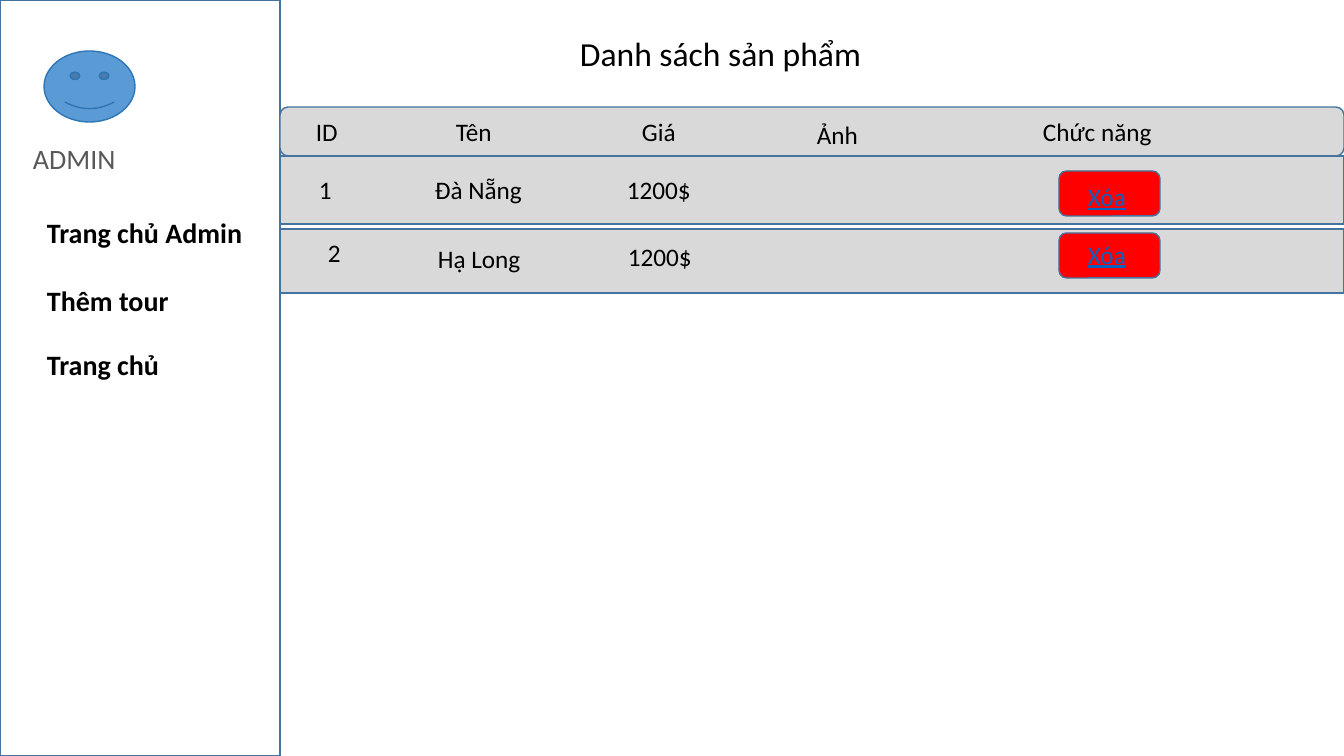
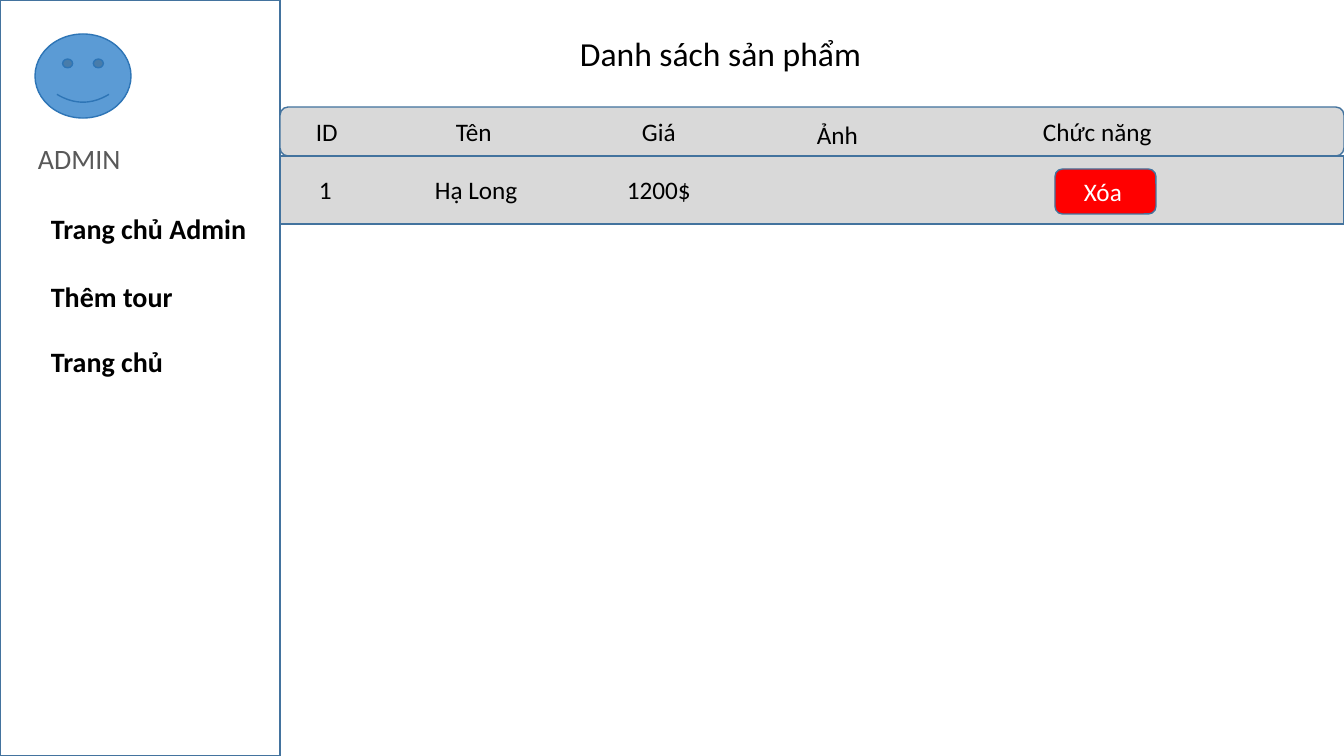
from dataclasses import dataclass
from typing import NamedTuple

from pptx import Presentation
from pptx.dml.color import RGBColor
from pptx.enum.shapes import MSO_SHAPE
from pptx.enum.text import MSO_ANCHOR, MSO_AUTO_SIZE, PP_ALIGN
from pptx.slide import Slide
from pptx.util import Emu, Pt

EMU_PER_PX = 914400 / 100.8


def px(length: int) -> Emu:
    return Emu(round(length * EMU_PER_PX))


@dataclass(frozen=True)
class Theme:
    font: str = "Calibri"
    title_size: int = 24
    menu_size: int = 20
    cell_size: int = 18
    ink: str = "000000"
    muted: str = "595959"
    paper: str = "FFFFFF"
    band: str = "D9D9D9"
    outline: str = "43739E"
    delete: str = "FF0000"
    link: str = "0563C1"
    avatar: str = "5B9BD5"
    avatar_line: str = "2E75B6"


THEME = Theme()


class Box(NamedTuple):
    left: int
    top: int
    width: int
    height: int


class Cell(NamedTuple):
    text: str
    left: int
    top: int
    width: int


@dataclass(frozen=True)
class TourRow:
    band: Box
    cells: tuple[Cell, ...]
    button: Box
    button_label: Cell


@dataclass(frozen=True)
class AdminPage:
    avatar: Box
    admin: Box
    menu: Box
    home: Box
    rows: tuple[TourRow, ...]
    button_format: dict


# Shared geometry
PAGE_WIDTH, PAGE_HEIGHT = 1344, 756
SIDEBAR = Box(0, 0, 280, PAGE_HEIGHT)
TABLE_LEFT = SIDEBAR.width
TABLE_WIDTH = PAGE_WIDTH - TABLE_LEFT
TITLE = Box(570, 28, 347, 50)
HEADER = Box(TABLE_LEFT, 107, TABLE_WIDTH, 49)
FIRST_ROW = Box(TABLE_LEFT, 156, TABLE_WIDTH, 68)
SECOND_ROW = Box(TABLE_LEFT, 229, TABLE_WIDTH, 64)
CELL_HEIGHT = 40
BUTTON_WIDTH, BUTTON_HEIGHT = 101, 45

COLUMNS = (
    Cell("ID", 306, 111, 45),
    Cell("Tên", 446, 111, 65),
    Cell("Giá", 632, 111, 59),
    Cell("Ảnh", 807, 114, 66),
    Cell("Chức năng", 1033, 111, 146),
)

# Text formats
TITLE_FORMAT = {"size": Pt(THEME.title_size)}
ADMIN_FORMAT = {"size": Pt(THEME.menu_size)}
MENU_FORMAT = {"size": Pt(THEME.menu_size), "bold": True}
CELL_FORMAT = {"size": Pt(THEME.cell_size)}
LINK_FORMAT = CELL_FORMAT | {"underline": True}


def tour_row(band: Box, cells: tuple[Cell, ...], button_left: int,
             button_top: int, label_top: int) -> TourRow:
    return TourRow(
        band, cells,
        Box(button_left, button_top, BUTTON_WIDTH, BUTTON_HEIGHT),
        Cell("Xóa", button_left + 19, label_top, 66),
    )


PAGES = (
    AdminPage(
        avatar=Box(44, 51, 91, 71),
        admin=Box(23, 137, 112, 44),
        menu=Box(37, 211, 228, 89),
        home=Box(37, 343, 218, 55),
        rows=(
            tour_row(FIRST_ROW, (
                Cell("1", 309, 169, 34),
                Cell("Đà Nẵng", 425, 169, 121),
                Cell("1200$", 617, 169, 91),
            ), 1059, 171, 176),
            tour_row(SECOND_ROW, (
                Cell("2", 318, 232, 34),
                Cell("Hạ Long", 428, 238, 117),
                Cell("1200$", 618, 236, 91),
            ), 1059, 233, 234),
        ),
        button_format={"color": THEME.link, "style": LINK_FORMAT},
    ),
    AdminPage(
        avatar=Box(35, 34, 96, 84),
        admin=Box(28, 137, 139, 44),
        menu=Box(41, 207, 239, 98),
        home=Box(41, 340, 218, 55),
        rows=(
            tour_row(FIRST_ROW, (
                Cell("1", 309, 169, 34),
                Cell("Hạ Long", 425, 169, 117),
                Cell("1200$", 617, 169, 91),
            ), 1055, 169, 171),
        ),
        button_format={"color": THEME.paper, "style": CELL_FORMAT},
    ),
)


def add_panel(slide: Slide, kind: MSO_SHAPE, box: Box, fill: str,
              line: str = THEME.outline) -> None:
    panel = slide.shapes.add_shape(kind, *map(px, box))
    panel.shadow.inherit = False
    panel.fill.solid()
    panel.fill.fore_color.rgb = RGBColor.from_string(fill)
    panel.line.color.rgb = RGBColor.from_string(line)
    panel.line.width = Pt(1)


def add_text(slide: Slide, box: Box, *lines: str, style: dict,
             color: str = THEME.ink, wrap: bool = True, grow: bool = True,
             gap: int = 0) -> None:
    frame = slide.shapes.add_textbox(*map(px, box)).text_frame
    frame_format = {
        "word_wrap": wrap,
        "vertical_anchor": MSO_ANCHOR.TOP,
        "auto_size": MSO_AUTO_SIZE.SHAPE_TO_FIT_TEXT if grow else MSO_AUTO_SIZE.NONE,
    }
    for name, value in frame_format.items():
        setattr(frame, name, value)
    for index, line in enumerate(lines):
        paragraph = frame.add_paragraph() if index else frame.paragraphs[0]
        paragraph.alignment = PP_ALIGN.LEFT
        if index:
            paragraph.space_before = Pt(gap)
        run = paragraph.add_run()
        run.text = line
        for name, value in ({"name": THEME.font} | style).items():
            setattr(run.font, name, value)
        run.font.color.rgb = RGBColor.from_string(color)


def add_cell(slide: Slide, cell: Cell, color: str = THEME.ink,
             style: dict = CELL_FORMAT) -> None:
    box = Box(cell.left, cell.top, cell.width, CELL_HEIGHT)
    add_text(slide, box, cell.text, style=style, color=color, wrap=False)


def add_sidebar(slide: Slide, page: AdminPage) -> None:
    add_panel(slide, MSO_SHAPE.RECTANGLE, SIDEBAR, THEME.paper)
    add_panel(slide, MSO_SHAPE.SMILEY_FACE, page.avatar, THEME.avatar,
              THEME.avatar_line)
    add_text(slide, page.admin, "ADMIN", style=ADMIN_FORMAT, color=THEME.muted)
    add_text(slide, page.menu, "Trang chủ Admin", "Thêm tour",
             style=MENU_FORMAT, grow=False, gap=24)
    add_text(slide, page.home, "Trang chủ", style=MENU_FORMAT, grow=False)


def add_tour_list(slide: Slide, page: AdminPage) -> None:
    add_text(slide, TITLE, "Danh sách sản phẩm", style=TITLE_FORMAT)
    # Column heads
    add_panel(slide, MSO_SHAPE.ROUNDED_RECTANGLE, HEADER, THEME.band)
    for column in COLUMNS:
        add_cell(slide, column)
    # Tours, each with its delete button
    for row in page.rows:
        add_panel(slide, MSO_SHAPE.RECTANGLE, row.band, THEME.band)
        for cell in row.cells:
            add_cell(slide, cell)
        add_panel(slide, MSO_SHAPE.ROUNDED_RECTANGLE, row.button, THEME.delete)
        add_cell(slide, row.button_label, **page.button_format)


def main() -> None:
    deck = Presentation()
    deck.slide_width, deck.slide_height = px(PAGE_WIDTH), px(PAGE_HEIGHT)
    for page in PAGES:
        slide = deck.slides.add_slide(deck.slide_layouts[6])
        add_sidebar(slide, page)
        add_tour_list(slide, page)
    deck.save("out.pptx")


if __name__ == "__main__":
    main()
